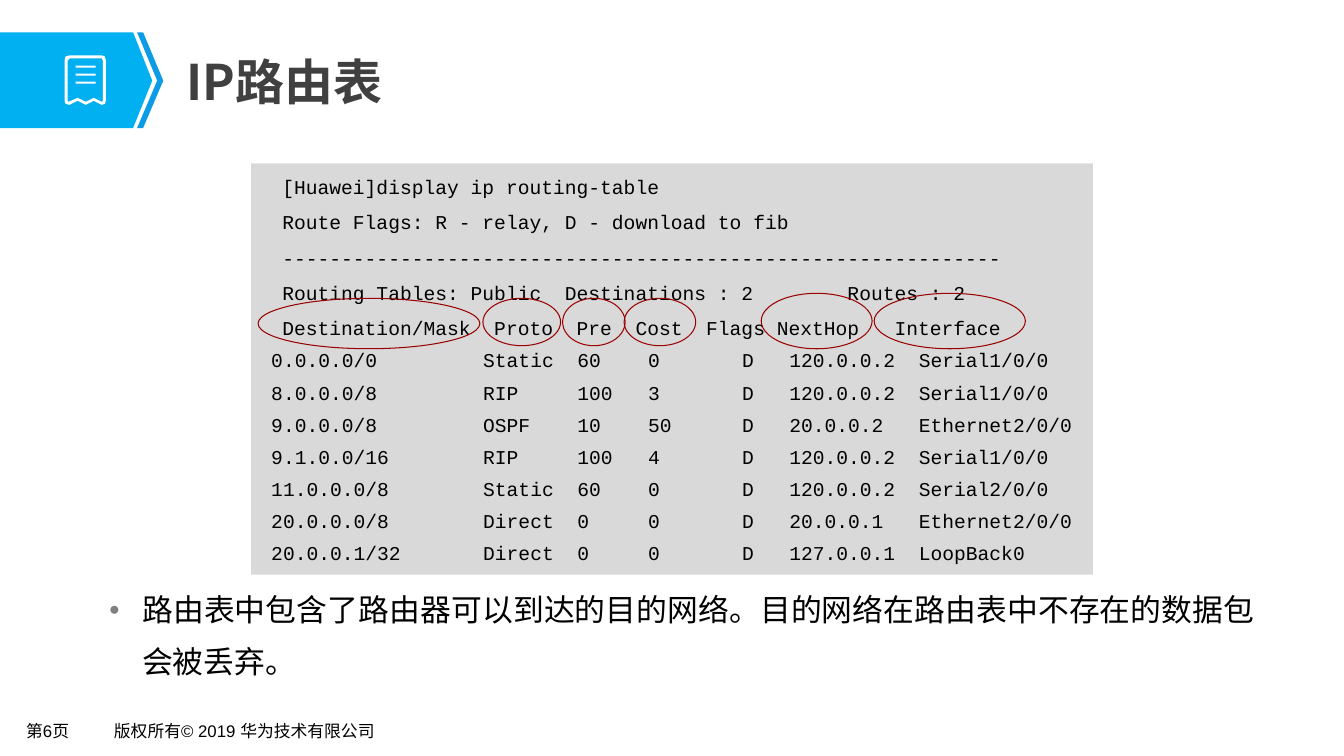
"""Build the IP routing table slide."""
from dataclasses import dataclass

from lxml.etree import SubElement
from pptx import Presentation
from pptx.dml.color import RGBColor
from pptx.enum.shapes import MSO_SHAPE
from pptx.enum.text import MSO_ANCHOR, PP_ALIGN
from pptx.oxml.ns import qn
from pptx.shapes.autoshape import Shape
from pptx.slide import Slide
from pptx.text.text import TextFrame, _Paragraph
from pptx.util import Inches, Pt

CJK_FONT = "Noto Sans CJK SC"
BLACK, WHITE = "000000", "FFFFFF"


@dataclass
class Box:
    """A rectangle in inches."""
    left: float
    top: float
    width: float
    height: float

    def lengths(self) -> list[int]:
        """Return the rectangle as lengths for python-pptx."""
        return [Inches(v) for v in (self.left, self.top, self.width, self.height)]


@dataclass
class Outline:
    """A filled outline of one or more closed contours."""
    fill: str
    contours: list[list[tuple[float, float]]]


@dataclass
class Route:
    """One row of the routing table."""
    destination: str
    protocol: str
    preference: int
    cost: int
    next_hop: str
    interface: str

    def row(self) -> str:
        """Return the row set out in fixed columns."""
        return (f"{self.destination:<18}{self.protocol:<8}{self.preference:<6}"
                f"{self.cost:<8}D   {self.next_hop:<11}{self.interface}")


@dataclass
class Footer:
    """A line of text at the foot of the slide."""
    box: Box
    text: str


BANNER = [
    Outline("00B0F0", [[(0, 0.32), (1.32, 0.32), (1.51, 0.8), (1.32, 1.27), (0, 1.27)]]),
    Outline("0B9CE5", [[(1.36, 0.32), (1.42, 0.32), (1.62, 0.8), (1.42, 1.27),
                        (1.36, 1.27), (1.56, 0.8)]]),
    Outline(WHITE, [
        [(0.69, 0.55), (1.01, 0.55), (1.04, 0.56), (1.05, 0.6), (1.05, 1), (1.04, 1.03),
         (1.01, 1.04), (0.93, 1), (0.85, 1.04), (0.77, 1), (0.69, 1.04), (0.65, 1.03),
         (0.64, 1), (0.64, 0.6), (0.65, 0.56)],
        [(0.69, 0.58), (0.67, 0.6), (0.67, 1), (0.68, 1.01), (0.77, 0.97), (0.85, 1.01),
         (0.93, 0.97), (1.01, 1.01), (1.02, 1), (1.02, 0.6), (1.01, 0.58)],
    ]),
    Outline(WHITE, [[(0.75, top), (0.95, top), (0.95, top + 0.02), (0.75, top + 0.02)]
                    for top in (0.65, 0.73, 0.81)]),
]
CONSOLE_HEAD = [
    "[Huawei]display ip routing-table",
    "Route Flags: R - relay, D - download to fib",
    "-" * 61,
    "Routing Tables: Public  Destinations : 2        Routes : 2",
    "Destination/Mask  Proto  Pre  Cost  Flags NextHop   Interface",
]
ROUTES = [
    Route("0.0.0.0/0", "Static", 60, 0, "120.0.0.2", "Serial1/0/0"),
    Route("8.0.0.0/8", "RIP", 100, 3, "120.0.0.2", "Serial1/0/0"),
    Route("9.0.0.0/8", "OSPF", 10, 50, "20.0.0.2", "Ethernet2/0/0"),
    Route("9.1.0.0/16", "RIP", 100, 4, "120.0.0.2", "Serial1/0/0"),
    Route("11.0.0.0/8", "Static", 60, 0, "120.0.0.2", "Serial2/0/0"),
    Route("20.0.0.0/8", "Direct", 0, 0, "20.0.0.1", "Ethernet2/0/0"),
    Route("20.0.0.1/32", "Direct", 0, 0, "127.0.0.1", "LoopBack0"),
]
COLUMN_RINGS = [
    Box(2.56, 2.96, 2.2, 0.5), Box(4.79, 2.96, 0.77, 0.47),
    Box(5.58, 2.96, 0.62, 0.47), Box(6.19, 2.96, 0.71, 0.47),
    Box(7.55, 2.91, 1.1, 0.55), Box(8.67, 2.91, 1.5, 0.55),
]
FOOTERS = [
    Footer(Box(0.17, 7.11, 0.74, 0.29), "第6页"),
    Footer(Box(1.04, 7.11, 2.85, 0.29), "版权所有© 2019 华为技术有限公司"),
]


def color(value: str) -> RGBColor:
    """Turn a hex string into a colour."""
    return RGBColor.from_string(value)


def paint(shape: Shape, fill: str | None = None, line: str | None = None,
          weight: float = 0) -> None:
    """Set the fill and line of a shape and drop its shadow."""
    shape.shadow.inherit = False
    if fill:
        shape.fill.solid()
        shape.fill.fore_color.rgb = color(fill)
    else:
        shape.fill.background()
    if line:
        shape.line.color.rgb = color(line)
        shape.line.width = Pt(weight)
    else:
        shape.line.fill.background()


def style(paragraph: _Paragraph, size: float, latin: str, ink: str = BLACK,
          bold: bool = False) -> None:
    """Format the runs of a paragraph, with the CJK font for Chinese text."""
    for run in paragraph.runs:
        run.font.size, run.font.bold, run.font.name = Pt(size), bold, latin
        run.font.color.rgb = color(ink)
        SubElement(run.font._element, qn("a:ea"), typeface=CJK_FONT)


def set_insets(frame: TextFrame, side: float, end: float) -> None:
    """Set the inner margins of a text frame in inches."""
    frame.margin_left = frame.margin_right = Inches(side)
    frame.margin_top = frame.margin_bottom = Inches(end)


def indent(paragraph: _Paragraph, left: float, first: float = 0) -> None:
    """Set the left and first-line indents of a paragraph in inches."""
    properties = paragraph._p.get_or_add_pPr()
    properties.set("marL", str(Inches(left)))
    properties.set("indent", str(Inches(first)))


def draw_outline(slide: Slide, outline: Outline) -> None:
    """Draw the contours of an outline as one shape."""
    contours = [[(Inches(x), Inches(y)) for x, y in contour] for contour in outline.contours]
    builder = slide.shapes.build_freeform(*contours[0][0])
    builder.add_line_segments(contours[0][1:], close=True)
    for contour in contours[1:]:
        builder.move_to(*contour[0])
        builder.add_line_segments(contour[1:], close=True)
    paint(builder.convert_to_shape(), outline.fill)


def draw_title(slide: Slide) -> None:
    """Place and format the slide title."""
    title = slide.shapes.title
    title.left, title.top, title.width, title.height = Box(1.74, 0.45, 10.75, 0.7).lengths()
    frame = title.text_frame
    frame.text = "IP路由表"
    frame.vertical_anchor = MSO_ANCHOR.MIDDLE
    set_insets(frame, 0.11, 0.06)
    frame.paragraphs[0].alignment = PP_ALIGN.LEFT
    style(frame.paragraphs[0], 35, CJK_FONT, "404040", True)


def draw_console(slide: Slide) -> None:
    """Draw the grey panel with the command output."""
    console = slide.shapes.add_shape(MSO_SHAPE.RECTANGLE, *Box(2.49, 1.62, 8.35, 4.08).lengths())
    paint(console, "D9D9D9")
    frame = console.text_frame
    set_insets(frame, 0, 0)
    frame.vertical_anchor = MSO_ANCHOR.TOP
    frame.text = "\n".join(CONSOLE_HEAD + [route.row() for route in ROUTES])
    for number, paragraph in enumerate(frame.paragraphs):
        is_head = number < len(CONSOLE_HEAD)
        indent(paragraph, 0.31 if is_head else 0.2)
        paragraph.alignment = PP_ALIGN.LEFT
        paragraph.line_spacing = 1.5 if is_head else 1.2
        paragraph.space_before = Pt(0 if is_head else 2.8)
        style(paragraph, 14, "Courier New")


def draw_summary(slide: Slide) -> None:
    """Write the bulleted sentence under the panel."""
    frame = slide.shapes.add_textbox(*Box(0.99, 5.67, 11.55, 1.11).lengths()).text_frame
    frame.word_wrap = True
    set_insets(frame, 0.09, 0.04)
    frame.text = "路由表中包含了路由器可以到达的目的网络。目的网络在路由表中不存在的数据包会被丢弃。"
    summary = frame.paragraphs[0]
    indent(summary, 0.33, -0.33)
    properties = summary._p.get_or_add_pPr()
    SubElement(SubElement(properties, qn("a:buClr")), qn("a:srgbClr"), val="808080")
    SubElement(properties, qn("a:buSzPct"), val="60000")
    SubElement(properties, qn("a:buFont"), typeface="Arial")
    SubElement(properties, qn("a:buChar"), char="●")
    summary.alignment = PP_ALIGN.JUSTIFY
    summary.line_spacing = Pt(37)
    style(summary, 22, CJK_FONT)


def draw_footer(slide: Slide, footer: Footer) -> None:
    """Write one footer line."""
    frame = slide.shapes.add_textbox(*footer.box.lengths()).text_frame
    frame.word_wrap = False
    set_insets(frame, 0.09, 0.04)
    frame.text = footer.text
    style(frame.paragraphs[0], 12, "Arial")


def main() -> None:
    """Build and save the slide."""
    deck = Presentation()
    deck.slide_width, deck.slide_height = Inches(13.33), Inches(7.5)
    slide = deck.slides.add_slide(deck.slide_layouts[5])
    for footer in FOOTERS:
        draw_footer(slide, footer)
    for outline in BANNER:
        draw_outline(slide, outline)
    draw_title(slide)
    draw_summary(slide)
    draw_console(slide)
    for ring in COLUMN_RINGS:
        paint(slide.shapes.add_shape(MSO_SHAPE.OVAL, *ring.lengths()), line="990000", weight=0.75)
    deck.save("out.pptx")


if __name__ == "__main__":
    main()
